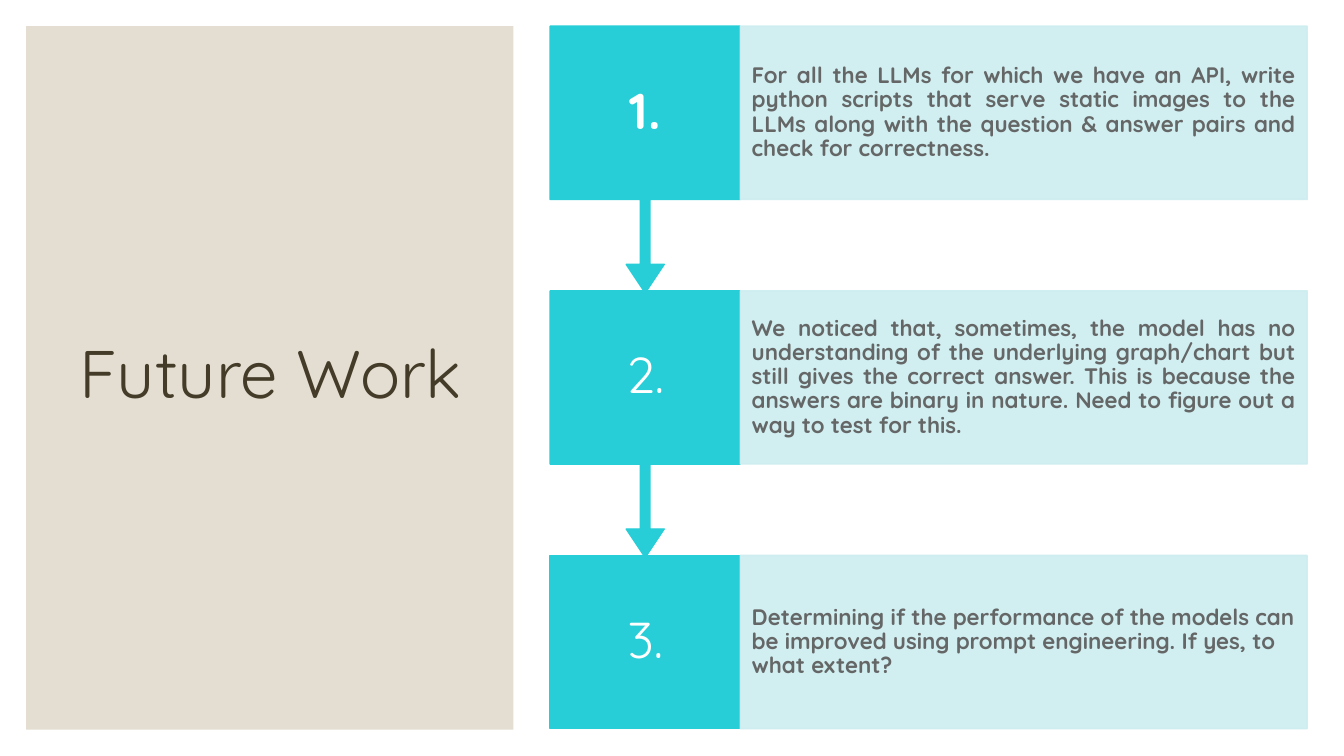
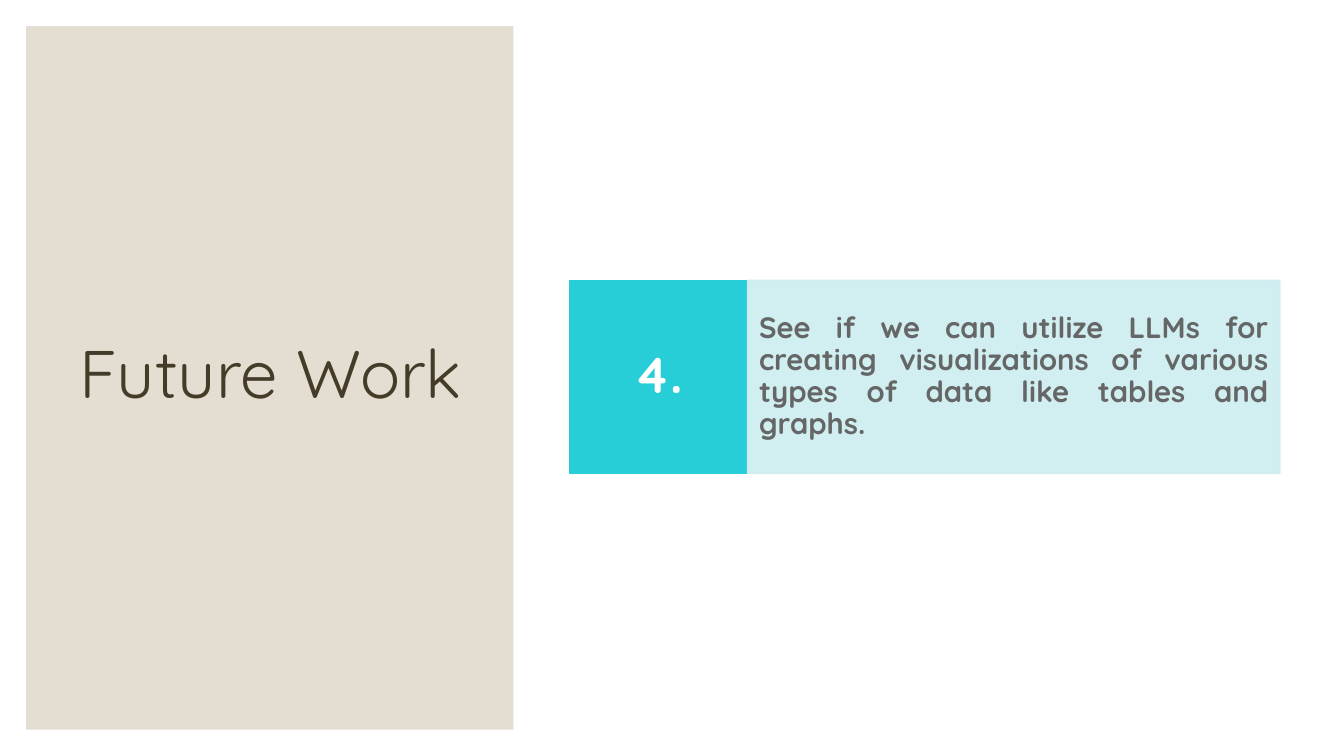
import pptx
import pptx.dml.color
import pptx.enum.shapes
import pptx.enum.text
import pptx.oxml
import pptx.oxml.ns
import pptx.util

PX = 9525  # EMU per px, on a 1280 x 720 slide
FONT = "Quicksand"
WHITE = pptx.dml.color.RGBColor(0xFF, 0xFF, 0xFF)
SAND = pptx.dml.color.RGBColor(0xE3, 0xDE, 0xD1)
BROWN = pptx.dml.color.RGBColor(0x44, 0x3C, 0x29)
TURQUOISE = pptx.dml.color.RGBColor(0x27, 0xCE, 0xD7)
PALE_BLUE = pptx.dml.color.RGBColor(0xCD, 0xED, 0xF0)
GREY = pptx.dml.color.RGBColor(0x65, 0x67, 0x67)

SHAPES = pptx.enum.shapes.MSO_SHAPE
LEFT = pptx.enum.text.PP_ALIGN.LEFT
CENTER = pptx.enum.text.PP_ALIGN.CENTER
JUSTIFY = pptx.enum.text.PP_ALIGN.JUSTIFY

PITCH = 252  # from the top of one step to the top of the next
ARROW_HEIGHT = 254  # step box together with its arrow


def add_block(slide, kind, left, top, width, height, color, opacity=100):
    shape = slide.shapes.add_shape(kind, left * PX, top * PX, width * PX, height * PX)
    shape.shadow.inherit = False
    shape.fill.solid()
    shape.fill.fore_color.rgb = color
    shape.line.color.rgb = color
    shape.line.width = pptx.util.Pt(1)
    if opacity < 100:
        for color_element in shape.element.spPr.iter(pptx.oxml.ns.qn("a:srgbClr")):
            alpha = pptx.oxml.parse_xml(f'<a:alpha {pptx.oxml.ns.nsdecls("a")} val="{opacity * 1000}"/>')
            color_element.append(alpha)
    return shape


def set_text(shape, text, size, color, bold, alignment, margin_x, margin_y):
    frame = shape.text_frame
    frame.text = text
    frame.word_wrap = True
    frame.auto_size = pptx.enum.text.MSO_AUTO_SIZE.NONE
    frame.vertical_anchor = pptx.enum.text.MSO_ANCHOR.MIDDLE
    frame.margin_left = frame.margin_right = margin_x * PX
    frame.margin_top = frame.margin_bottom = margin_y * PX
    paragraph = frame.paragraphs[0]
    paragraph.alignment = alignment
    paragraph.line_spacing = 0.9
    paragraph.font.name = FONT
    paragraph.font.size = pptx.util.Pt(size)
    paragraph.font.bold = bold
    paragraph.font.color.rgb = color


# Each slide: step geometry, text size, and steps (number, bold number, alignment, text)
SLIDES = [
    {
        "left": 524, "top": 25, "number_width": 181, "text_width": 540, "height": 165,
        "size": 16, "margin_y": 21,
        "steps": [
            ("1.", True, JUSTIFY,
             "For all the LLMs for which we have an API, write python scripts that serve "
             "static images to the LLMs along with the question & answer pairs and check "
             "for correctness."),
            ("2.", False, JUSTIFY,
             "We noticed that, sometimes, the model has no understanding of the underlying "
             "graph/chart but still gives the correct answer. This is because the answers "
             "are binary in nature. Need to figure out a way to test for this."),
            ("3.", False, LEFT,
             "Determining if the performance of the models can be improved using prompt "
             "engineering. If yes, to what extent?"),
        ],
    },
    {
        "left": 543, "top": 267, "number_width": 169, "text_width": 507, "height": 184,
        "size": 21, "margin_y": 28,
        "steps": [
            ("4.", True, JUSTIFY,
             "See if we can utilize LLMs for creating visualizations of various types of "
             "data like tables and graphs."),
        ],
    },
]

presentation = pptx.Presentation()
presentation.slide_width = 1280 * PX
presentation.slide_height = 720 * PX

for content in SLIDES:
    slide = presentation.slides.add_slide(presentation.slide_layouts[5])

    # Title on its sand panel
    title = slide.shapes.title
    title.left, title.top, title.width, title.height = 60 * PX, 59 * PX, 396 * PX, 599 * PX
    set_text(title, "Future Work", 48, BROWN, False, CENTER, 10, 5)
    panel = add_block(slide, SHAPES.RECTANGLE, 25, 25, 464, 670, SAND)
    panel.line.fill.background()
    title.element.addprevious(panel.element)

    # Steps, last one at the back so that arrows lie over the next box
    left, width, height = content["left"], content["number_width"], content["height"]
    last = len(content["steps"]) - 1
    for index, (number, bold, alignment, text) in reversed(list(enumerate(content["steps"]))):
        top = content["top"] + index * PITCH
        if index < last:
            number_box = add_block(slide, SHAPES.DOWN_ARROW_CALLOUT, left, top, width, ARROW_HEIGHT, TURQUOISE)
            for position, value in enumerate((0.05, 0.1, 0.15, 0.65)):
                number_box.adjustments[position] = value
        else:
            number_box = add_block(slide, SHAPES.RECTANGLE, left, top, width, height, TURQUOISE)
        set_text(number_box, number, 36, WHITE, bold, CENTER, 12, 27)

        text_box = add_block(slide, SHAPES.RECTANGLE, left + width, top, content["text_width"], height,
                             PALE_BLUE, opacity=90)
        set_text(text_box, text, content["size"], GREY, True, alignment, 11, content["margin_y"])

presentation.save("out.pptx")
